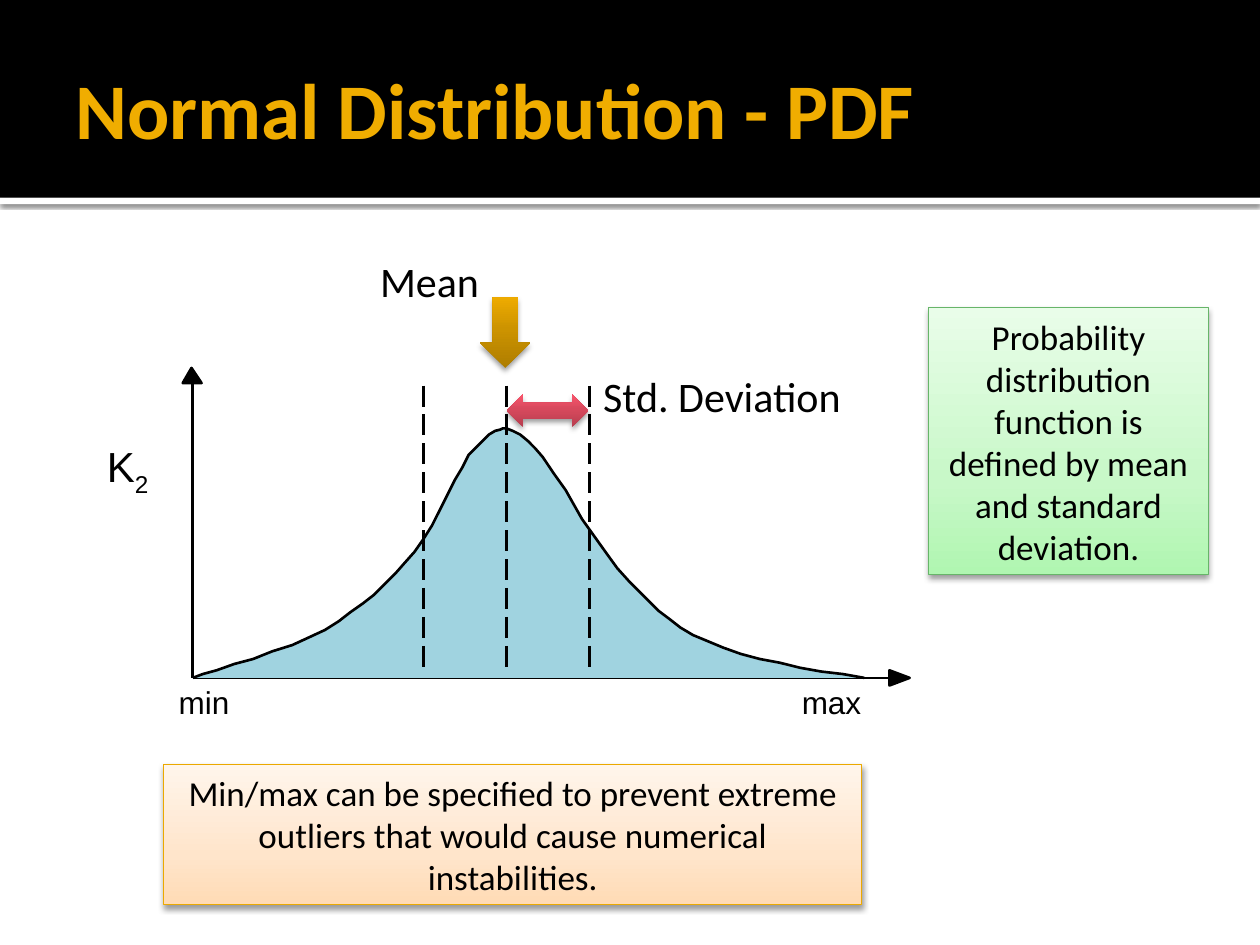
"""Build a slide explaining the normal distribution density."""
from pptx import Presentation
from pptx.dml.color import RGBColor
from pptx.enum.dml import MSO_LINE
from pptx.enum.shapes import MSO_CONNECTOR, MSO_SHAPE
from pptx.enum.text import MSO_ANCHOR, MSO_AUTO_SIZE, PP_ALIGN
from pptx.oxml import parse_xml
from pptx.oxml.ns import nsdecls, qn
from pptx.util import Inches, Pt

BLACK = RGBColor(0x00, 0x00, 0x00)
WHITE = RGBColor(0xFF, 0xFF, 0xFF)
TITLE_GOLD = RGBColor(0xF0, 0xAD, 0x00)
CURVE_BLUE = RGBColor(0xA0, 0xD3, 0xE0)
ORANGE_EDGE = RGBColor(0xEB, 0xA9, 0x00)
GREEN_EDGE = RGBColor(0x67, 0xB5, 0x69)


def shades(*codes):
    """Turn hex codes into a tuple of colours."""
    return tuple(RGBColor.from_string(code) for code in codes)


ORANGE_CARD = shades("FFDBB5", "FFE5CB", "FFF5EB")
GREEN_CARD = shades("B0F6B1", "C8F8C8", "E9FDE9")
GOLD_ARROW = shades("AE7D00", "CC9300", "EEAB00")
RED_ARROW = shades("B73E4F", "D7495D", "FA556C")

AXIS_X, BASE_Y = 1.53, 5.38
MEAN_X, DEVIATION = 4.02, 0.66
CURVE = (
    (1.53, 5.38), (1.61, 5.35), (1.72, 5.32), (1.86, 5.27), (2.01, 5.23),
    (2.16, 5.17), (2.32, 5.12), (2.45, 5.06), (2.58, 5), (2.69, 4.93),
    (2.78, 4.86), (2.88, 4.79), (2.97, 4.72), (3.05, 4.64), (3.14, 4.55),
    (3.21, 4.47), (3.29, 4.38), (3.36, 4.28), (3.43, 4.17), (3.49, 4.05),
    (3.55, 3.93), (3.61, 3.81), (3.67, 3.71), (3.72, 3.61), (3.78, 3.55),
    (3.83, 3.5), (3.88, 3.45), (3.93, 3.42), (3.97, 3.41), (3.99, 3.4),
    (4.02, 3.4), (4.07, 3.42), (4.13, 3.45), (4.19, 3.5), (4.25, 3.56),
    (4.31, 3.63), (4.39, 3.75), (4.49, 3.89), (4.62, 4.12), (4.72, 4.26),
    (4.82, 4.4), (4.9, 4.51), (4.99, 4.61), (5.07, 4.69), (5.15, 4.77),
    (5.23, 4.85), (5.31, 4.91), (5.4, 4.98), (5.5, 5.04), (5.62, 5.09),
    (5.74, 5.14), (5.88, 5.19), (6.03, 5.23), (6.19, 5.26), (6.35, 5.3),
    (6.52, 5.33), (6.69, 5.35), (6.86, 5.38),
)


def add_span(para, text, size, font, color=BLACK):
    """Append one formatted run to a paragraph."""
    span = para.add_run()
    span.text = text
    span.font.size = Pt(size)
    span.font.name = font
    span.font.color.rgb = color
    return span


def add_shadow(shape, opacity, blur, distance):
    """Give a shape a soft black shadow that falls downwards."""
    shape.shadow.inherit = False
    effects = shape._element.spPr.find(qn("a:effectLst"))
    effects.append(parse_xml(
        f'<a:outerShdw {nsdecls("a")} blurRad="{Pt(blur)}" dist="{Pt(distance)}" '
        f'dir="5400000" rotWithShape="0"><a:srgbClr val="000000">'
        f'<a:alpha val="{opacity * 1000}"/></a:srgbClr></a:outerShdw>'))


def add_bar(page, top, height, color):
    """Add a full-width header bar."""
    bar = page.shapes.add_shape(
        MSO_SHAPE.RECTANGLE, 0, Inches(top), Inches(10), Inches(height))
    bar.shadow.inherit = False
    bar.fill.solid()
    bar.fill.fore_color.rgb = color
    bar.line.fill.background()
    return bar


def add_title(page, text):
    """Format the title placeholder and lift it above the header bars."""
    title = page.shapes.title
    title.left, title.top = Inches(0.5), Inches(0.17)
    title.width, title.height = Inches(9), Inches(1.37)
    frame = title.text_frame
    frame.auto_size = MSO_AUTO_SIZE.NONE
    frame.vertical_anchor = MSO_ANCHOR.MIDDLE
    frame.margin_right = Inches(0.05)
    para = frame.paragraphs[0]
    para.alignment = PP_ALIGN.LEFT
    add_span(para, text, 45, "Calibri", TITLE_GOLD).font.bold = True
    page.shapes._spTree.append(title._element)


def add_label(page, place, text, size, font, align=PP_ALIGN.CENTER):
    """Add a text box and return its paragraph."""
    box = page.shapes.add_textbox(*map(Inches, place))
    box.text_frame.word_wrap = True
    para = box.text_frame.paragraphs[0]
    para.alignment = align
    add_span(para, text, size, font)
    return para


def add_line(page, start, end, dash=None):
    """Add a straight black line."""
    line = page.shapes.add_connector(
        MSO_CONNECTOR.STRAIGHT, *map(Inches, start + end))
    line.line.color.rgb = BLACK
    line.line.width = Pt(1.5)
    if dash:
        line.line.dash_style = dash
    line._element.spPr.append(parse_xml(f'<a:effectLst {nsdecls("a")}/>'))


def add_outline(page, points, color, close):
    """Add a filled freeform with a black outline."""
    corners = [(Inches(x), Inches(y)) for x, y in points]
    builder = page.shapes.build_freeform(*corners[0])
    builder.add_line_segments(corners[1:], close=close)
    outline = builder.convert_to_shape()
    outline.shadow.inherit = False
    outline.fill.solid()
    outline.fill.fore_color.rgb = color
    outline.line.color.rgb = BLACK
    outline.line.width = Pt(1.5)


def add_gradient_shape(page, kind, place, colors, middle, blur):
    """Add a shadowed shape whose gradient rises from the bottom."""
    shape = page.shapes.add_shape(kind, *map(Inches, place))
    shape.fill.gradient()
    shape.fill.gradient_angle = 90
    stops = shape._element.spPr.find(qn("a:gradFill")).find(qn("a:gsLst"))
    for stop in list(stops):
        stops.remove(stop)
    for position, color in zip((0, middle, 100), colors):
        stops.append(parse_xml(
            f'<a:gs {nsdecls("a")} pos="{position * 1000}">'
            f'<a:srgbClr val="{color}"/></a:gs>'))
    shape.line.fill.background()
    add_shadow(shape, 38, blur, 2)
    return shape


def add_card(page, place, colors, edge, text):
    """Add a gradient card with centred text."""
    card = add_gradient_shape(page, MSO_SHAPE.RECTANGLE, place, colors, 35, 3.5)
    card.line.color.rgb = edge
    card.line.width = Pt(0.5)
    frame = card.text_frame
    frame.word_wrap = True
    frame.vertical_anchor = MSO_ANCHOR.MIDDLE
    para = frame.paragraphs[0]
    para.alignment = PP_ALIGN.CENTER
    add_span(para, text, 20, "Calibri")


def add_plot(page):
    """Draw the axes, the bell curve and its dashed markers."""
    add_label(page, (0.95, 5.37, 1.34, 0.8), "min", 18, "Arial")
    add_label(page, (5.85, 5.37, 1.5, 0.8), "max", 18, "Arial")
    add_line(page, (AXIS_X, 3.04), (AXIS_X, BASE_Y))
    add_outline(page, ((1.6, 3.04), (1.52, 2.92), (1.45, 3.04)), BLACK, True)
    add_line(page, (AXIS_X, BASE_Y), (7.07, BASE_Y))
    add_outline(page, ((7.06, 5.44), (7.22, 5.38), (7.06, 5.32)), BLACK, True)
    add_outline(page, CURVE, CURVE_BLUE, False)
    for step in (-1, 0, 1):
        x = MEAN_X + step * DEVIATION
        add_line(page, (x, 3.06), (x, 5.31), MSO_LINE.LONG_DASH)
    para = add_label(page, (0.75, 3.45, 0.7, 0.52), "K", 24, "Arial", PP_ALIGN.LEFT)
    subscript = add_span(para, "2", 24, "Arial")
    subscript._r.get_or_add_rPr().set("baseline", "-25000")


def main():
    """Assemble and save the slide."""
    deck = Presentation()
    deck.slide_width, deck.slide_height = Inches(10), Inches(7.5)
    page = deck.slides.add_slide(deck.slide_layouts[5])
    add_shadow(add_bar(page, 1.57, 0.05, WHITE), 60, 2.5, 0.8)
    add_bar(page, 0, 1.57, BLACK)
    add_title(page, "Normal Distribution - PDF")
    add_plot(page)
    add_card(page, (1.3, 6.07, 5.54, 1.11), ORANGE_CARD, ORANGE_EDGE,
             "Min/max can be specified to prevent extreme outliers "
             "that would cause numerical instabilities.")
    add_gradient_shape(page, MSO_SHAPE.DOWN_ARROW, (3.81, 2.36, 0.4, 0.56),
                       GOLD_ARROW, 55, 3.1)
    add_label(page, (2.81, 1.98, 1.2, 0.5), "Mean", 24, "Calibri")
    add_gradient_shape(page, MSO_SHAPE.LEFT_RIGHT_ARROW, (MEAN_X, 3.13, 0.65, 0.26),
                       RED_ARROW, 55, 3.1)
    add_label(page, (4.62, 2.89, 2.22, 0.5), "Std. Deviation", 24, "Calibri")
    add_card(page, (7.37, 2.44, 2.22, 2.12), GREEN_CARD, GREEN_EDGE,
             "Probability distribution function is defined by mean "
             "and standard deviation.")
    deck.save("out.pptx")


if __name__ == "__main__":
    main()
